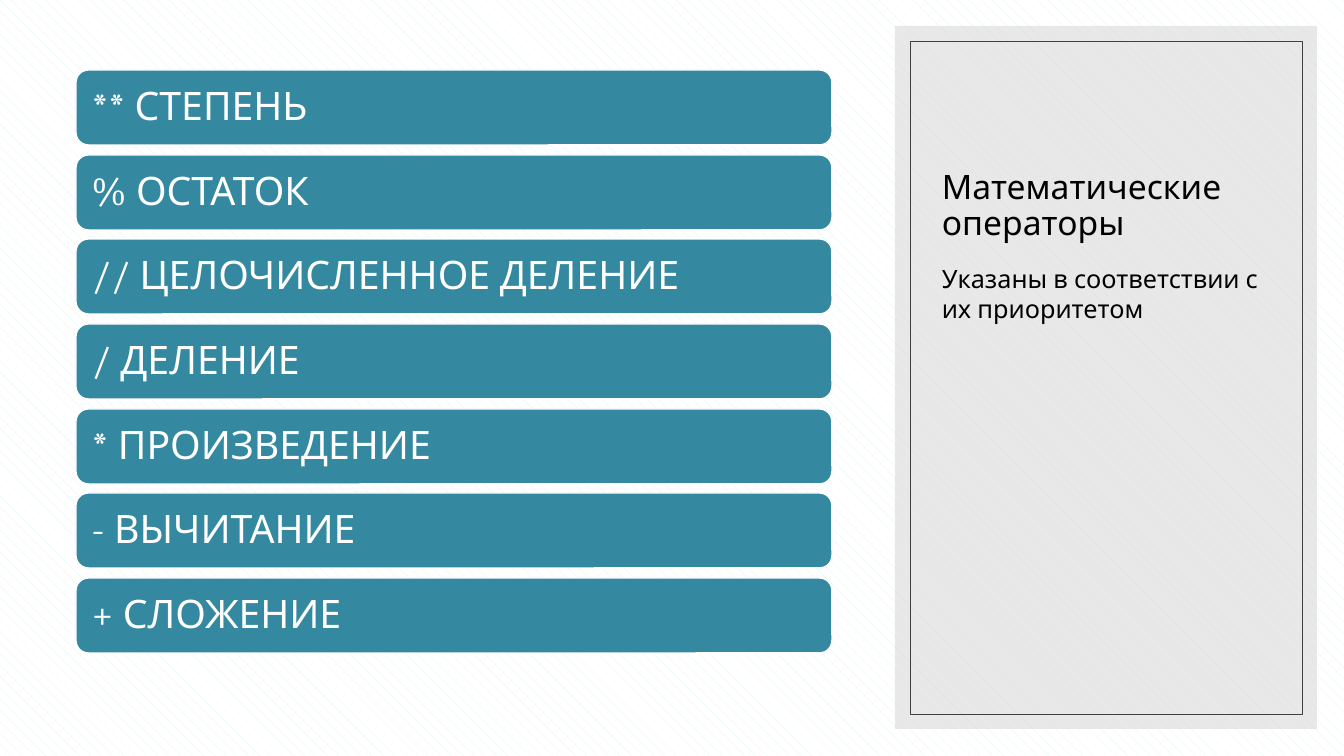
from pptx import Presentation
from pptx.dml.color import RGBColor
from pptx.enum.dml import MSO_PATTERN
from pptx.enum.shapes import MSO_SHAPE as SHAPE
from pptx.enum.text import MSO_ANCHOR as ANCHOR, PP_ALIGN as ALIGN
from pptx.oxml.ns import qn
from pptx.util import Emu, Pt
from lxml import etree

SANS, SERIF = "League Spartan", "Cambria"
OPERATORS = [
    ("**", "СТЕПЕНЬ"),
    ("%", "ОСТАТОК"),
    ("//", "ЦЕЛОЧИСЛЕННОЕ ДЕЛЕНИЕ"),
    ("/", "ДЕЛЕНИЕ"),
    ("*", "ПРОИЗВЕДЕНИЕ"),
    ("-", "ВЫЧИТАНИЕ"),
    ("+", "СЛОЖЕНИЕ"),
]
BAR_TOP, BAR_HEIGHT, BARS_SPAN = 70, 75, 508


def px(n):
    """Turn pixels into EMU."""
    return Emu(round(n * 914400 / 100.8))


def rgb(value):
    """Turn a hex string into a colour."""
    return RGBColor.from_string(value)


def add_box(slide, kind, box, fill=None, alpha=100, line=None, width=1):
    """Add a preset shape with optional fill, opacity in percent and line."""
    s = slide.shapes.add_shape(kind, *map(px, box))
    s.shadow.inherit = False
    if fill:
        s.fill.solid()
        s.fill.fore_color.rgb = rgb(fill)
        if alpha < 100:
            color = s.fill._xPr.find(qn("a:solidFill"))[0]
            etree.SubElement(color, qn("a:alpha"), val=str(alpha * 1000))
    else:
        s.fill.background()
    if line:
        s.line.color.rgb = rgb(line)
        s.line.width = Pt(width)
    else:
        s.line.fill.background()
    return s


def add_text(slide, box, text, size, spacing, anchor):
    """Add a wrapped black text box."""
    tf = slide.shapes.add_textbox(*map(px, box)).text_frame
    tf.word_wrap = True
    tf.vertical_anchor = anchor
    p = tf.paragraphs[0]
    p.text = text
    p.line_spacing = spacing
    p.font.size = Pt(size)
    p.font.name = SANS
    p.font.color.rgb = rgb("000000")


def add_bar(slide, top, symbol, name):
    """Add a rounded bar with an operator symbol and its name."""
    s = add_box(slide, SHAPE.ROUNDED_RECTANGLE, (76, top, 756, BAR_HEIGHT),
                fill="3488A0", line="FFFFFF")
    tf = s.text_frame
    tf.word_wrap = True
    tf.vertical_anchor = ANCHOR.MIDDLE
    tf.margin_left = tf.margin_right = px(12)
    p = tf.paragraphs[0]
    p.alignment = ALIGN.LEFT
    p.line_spacing = 0.9
    p.font.size = Pt(28)
    p.font.color.rgb = rgb("FFFFFF")
    for text, font in ((symbol, SERIF), (f" {name}", SANS)):
        r = p.add_run()
        r.text = text
        r.font.name = font


def main():
    """Build the slide and save it."""
    prs = Presentation()
    prs.slide_width, prs.slide_height = px(1344), px(756)
    slide = prs.slides.add_slide(prs.slide_layouts[6])
    bg = slide.background.fill
    bg.patterned()
    bg.pattern = MSO_PATTERN.SHINGLE
    bg.fore_color.rgb = rgb("DEF4F7")
    bg.back_color.rgb = rgb("FFFFFF")

    add_box(slide, SHAPE.RECTANGLE, (895, 26, 422, 703), fill="D9D9D9", alpha=60)
    add_box(slide, SHAPE.RECTANGLE, (910, 41, 392, 673), line="404040", width=0.5)
    add_text(slide, (932, 67, 349, 181), "Математические операторы",
             24, 0.9, ANCHOR.BOTTOM)
    for i, (symbol, name) in enumerate(OPERATORS):
        top = BAR_TOP + round(i * BARS_SPAN / (len(OPERATORS) - 1))
        add_bar(slide, top, symbol, name)
    add_text(slide, (932, 258, 349, 397),
             "Указаны в соответствии с их приоритетом", 18, 1.0, ANCHOR.TOP)
    prs.save("out.pptx")


if __name__ == "__main__":
    main()
